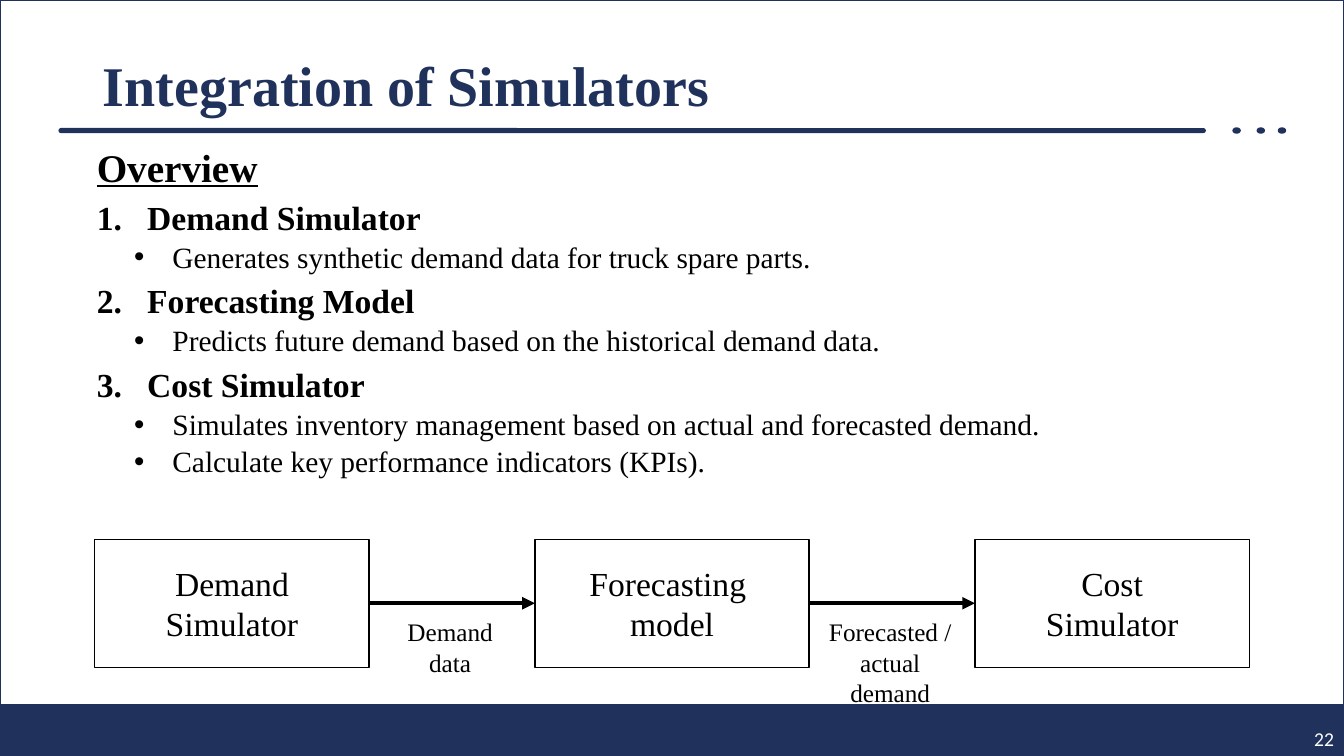
from lxml import etree
from pptx import Presentation
from pptx.dml.color import RGBColor
from pptx.enum.shapes import MSO_CONNECTOR, MSO_SHAPE
from pptx.enum.text import MSO_ANCHOR, MSO_AUTO_SIZE, PP_ALIGN
from pptx.oxml.ns import qn
from pptx.util import Inches, Pt

RECTANGLE, ROUNDED, OVAL = MSO_SHAPE.RECTANGLE, MSO_SHAPE.ROUNDED_RECTANGLE, MSO_SHAPE.OVAL
LEFT, CENTER, RIGHT, JUSTIFY = PP_ALIGN.LEFT, PP_ALIGN.CENTER, PP_ALIGN.RIGHT, PP_ALIGN.JUSTIFY
TOP, MIDDLE = MSO_ANCHOR.TOP, MSO_ANCHOR.MIDDLE

TITLE = "Integration of Simulators"
OVERVIEW = [
    ("heading", "Overview"),
    ("step", "Demand Simulator"),
    ("detail", "Generates synthetic demand data for truck spare parts."),
    ("step", "Forecasting Model"),
    ("detail", "Predicts future demand based on the historical demand data."),
    ("step", "Cost Simulator"),
    ("detail", "Simulates inventory management based on actual and forecasted demand."),
    ("detail", "Calculate key performance indicators (KPIs)."),
]
STAGES = [["Demand", "Simulator"], ["Forecasting ", "model"], ["Cost", "Simulator"]]
FLOWS = [["Demand", "data"], ["Forecasted /", "actual", "demand"]]
PAGE_NUMBER = "22"

SERIF, SANS = "Times New Roman", "Calibri"
NAVY, BLACK, WHITE = "20325C", "000000", "FFFFFF"

# font format, space before (pt), level, left margin, hanging indent (in), bullet tag and attributes
LIST_STYLES = {
    "heading": ({"size": 28, "bold": True, "underline": True}, 7.5, 0, 0, 0, "a:buNone", {}),
    "step": ({"size": 24, "bold": True}, 7.5, 0, 0.5, 0.5, "a:buAutoNum", {"type": "arabicPeriod"}),
    "detail": ({"size": 21, "bold": False}, 3.8, 1, 0.75, 0.38, "a:buChar", {"char": "•"}),
}

WIDTH, HEIGHT = 13.33, 7.5
FOOTER_TOP = 6.99
RULE_TOP, RULE_HEIGHT = 1.27, 0.05
DOT_LEFTS = (12.23, 12.47, 12.68)
STAGE_LEFT, STAGE_TOP, STAGE_WIDTH, STAGE_HEIGHT = 0.94, 5.35, 2.72, 1.27
STAGE_PITCH = 4.365
LABEL_TOP, LABEL_WIDTH, LABEL_LINE = 6.07, 1.57, 0.3


def color(hex_value):
    return RGBColor.from_string(hex_value)


def place(shape, left, top, width, height):
    shape.left, shape.top = Inches(left), Inches(top)
    shape.width, shape.height = Inches(width), Inches(height)


def format_font(font, size, hex_value, name=SERIF, **settings):
    font.color.rgb = color(hex_value)
    for attribute, value in {"size": Pt(size), "name": name, **settings}.items():
        setattr(font, attribute, value)


def write_lines(frame, lines, alignment, anchor, size, hex_value=BLACK, name=SERIF, **settings):
    """Write one paragraph per line, all in the same format."""
    frame.word_wrap = True
    frame.vertical_anchor = anchor
    for index, line in enumerate(lines):
        paragraph = frame.add_paragraph() if index else frame.paragraphs[0]
        paragraph.alignment = alignment
        run = paragraph.add_run()
        run.text = line
        format_font(run.font, size, hex_value, name, **settings)


def add_box(slide, kind, box, fill, line=None):
    shape = slide.shapes.add_shape(kind, *map(Inches, box))
    shape.shadow.inherit = False
    shape.fill.solid()
    shape.fill.fore_color.rgb = color(fill)
    if line:
        shape.line.color.rgb = color(line)
        shape.line.width = Pt(1)
    else:
        shape.line.fill.background()
    return shape


def add_text(slide, box, lines, alignment, size, **settings):
    frame = slide.shapes.add_textbox(*map(Inches, box)).text_frame
    write_lines(frame, lines, alignment, TOP, size, **settings)


def add_arrow(slide, start, end, y):
    arrow = slide.shapes.add_connector(
        MSO_CONNECTOR.STRAIGHT, Inches(start), Inches(y), Inches(end), Inches(y))
    arrow.line.color.rgb = color(BLACK)
    arrow.line.width = Pt(3)
    etree.SubElement(arrow.line._get_or_add_ln(), qn("a:tailEnd"), type="triangle")
    etree.SubElement(arrow._element.spPr, qn("a:effectLst"))


def add_frame(slide):
    """Draw the page border, footer band, page number and title rule."""
    add_box(slide, RECTANGLE, (0, 0, WIDTH, HEIGHT), WHITE, NAVY)
    add_box(slide, RECTANGLE, (0, FOOTER_TOP, WIDTH, HEIGHT - FOOTER_TOP), NAVY, NAVY)
    add_text(slide, (11.46, 7.16, 1.87, 0.34), [PAGE_NUMBER], RIGHT, 14,
             hex_value=WHITE, name=SANS)
    rule = add_box(slide, ROUNDED, (0.58, RULE_TOP, 11.38, RULE_HEIGHT), NAVY)
    rule.adjustments[0] = 0.5
    for left in DOT_LEFTS:
        add_box(slide, OVAL, (left, RULE_TOP, 0.07, RULE_HEIGHT), NAVY, NAVY)


def fill_title(title):
    place(title, 0.92, 0.54, 11.5, 0.68)
    write_lines(title.text_frame, [TITLE], LEFT, MIDDLE, 40, NAVY, bold=True)
    title.text_frame.auto_size = MSO_AUTO_SIZE.NONE
    title.text_frame.paragraphs[0].line_spacing = 0.9


def fill_overview(body):
    place(body, 0.86, 1.42, 12.06, 5.3)
    frame = body.text_frame
    write_lines(frame, [text for _, text in OVERVIEW], JUSTIFY, TOP, 21)
    frame.auto_size = MSO_AUTO_SIZE.NONE
    for paragraph, (style, _) in zip(frame.paragraphs, OVERVIEW):
        font, before, level, margin, hanging, bullet, attributes = LIST_STYLES[style]
        format_font(paragraph.runs[0].font, hex_value=BLACK, **font)
        paragraph.level = level
        paragraph.line_spacing = 0.9
        paragraph.space_before = Pt(before)
        paragraph.space_after = Pt(0)
        properties = paragraph._p.get_or_add_pPr()
        properties.set("marL", str(Inches(margin)))
        properties.set("indent", str(-Inches(hanging)))
        if bullet == "a:buChar":
            etree.SubElement(properties, qn("a:buFont"), typeface="Arial")
        etree.SubElement(properties, qn(bullet), attributes)


def add_flow(slide):
    lefts = [STAGE_LEFT + index * STAGE_PITCH for index in range(len(STAGES))]
    for left, lines in zip(lefts, STAGES):
        stage = add_box(slide, RECTANGLE, (left, STAGE_TOP, STAGE_WIDTH, STAGE_HEIGHT),
                        WHITE, BLACK)
        write_lines(stage.text_frame, lines, CENTER, MIDDLE, 24)
    for left, following, lines in zip(lefts, lefts[1:], FLOWS):
        start = left + STAGE_WIDTH
        add_arrow(slide, start, following, STAGE_TOP + STAGE_HEIGHT / 2)
        label_height = LABEL_LINE * len(lines) + 0.1
        add_text(slide, (start + 0.02, LABEL_TOP, LABEL_WIDTH, label_height), lines, CENTER, 18)


def main():
    presentation = Presentation()
    presentation.slide_width, presentation.slide_height = Inches(WIDTH), Inches(HEIGHT)
    slide = presentation.slides.add_slide(presentation.slide_layouts[1])
    title, body = slide.placeholders
    add_frame(slide)
    for placeholder in (body, title):
        slide.shapes._spTree.append(placeholder._element)
    fill_title(title)
    fill_overview(body)
    add_flow(slide)
    presentation.save("out.pptx")


if __name__ == "__main__":
    main()
